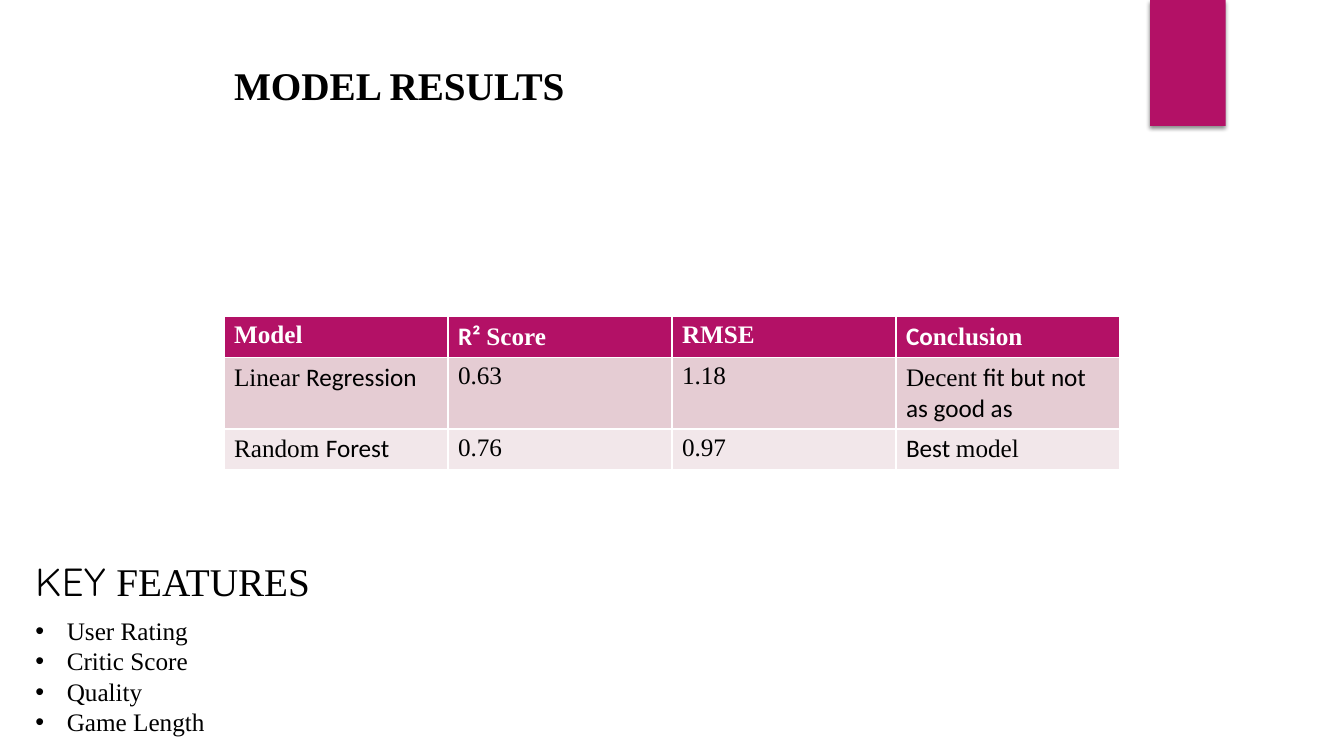
import pptx
import pptx.dml.color
import pptx.enum.shapes
import pptx.enum.text
import pptx.oxml
import pptx.oxml.ns
import pptx.util

Pt = pptx.util.Pt
RGBColor = pptx.dml.color.RGBColor

MAGENTA = RGBColor(0xB3, 0x11, 0x66)
ROSE = RGBColor(0xE5, 0xCC, 0xD3)
PALE_ROSE = RGBColor(0xF2, 0xE7, 0xEA)
WHITE = RGBColor(0xFF, 0xFF, 0xFF)
BLACK = RGBColor(0, 0, 0)

SERIF = "Times New Roman"
SANS = "Calibri"
DISPLAY = "Quicksand"

SHADOW = (
    f'<a:outerShdw {pptx.oxml.ns.nsdecls("a")} blurRad="{Pt(3)}" dist="{Pt(2)}" dir="5400000" '
    'rotWithShape="0"><a:srgbClr val="000000"><a:alpha val="45000"/></a:srgbClr></a:outerShdw>'
)


class ResultsPage:
    """Holds the text style and the current slide; lengths are in points."""

    heading_size = 28
    text_size = 18

    def __init__(self, deck):
        self.page = deck.slides.add_slide(deck.slide_layouts[1])

    def place(self, box, left, top, width, height):
        box.left, box.top, box.width, box.height = map(Pt, (left, top, width, height))
        frame = box.text_frame
        frame.word_wrap = True
        frame.auto_size = pptx.enum.text.MSO_AUTO_SIZE.NONE
        frame.vertical_anchor = pptx.enum.text.MSO_ANCHOR.TOP
        return frame

    def add_spans(self, para, spans, size, color=BLACK, bold=False):
        """Fill a paragraph with (text, font) spans."""
        para.alignment = pptx.enum.text.PP_ALIGN.LEFT
        for text, font in spans:
            span = para.add_run()
            span.text = text
            span.font.name = font
            span.font.size = Pt(size)
            span.font.bold = bold
            span.font.color.rgb = color

    def block(self, left, top, width, height):
        shape = self.page.shapes.add_shape(
            pptx.enum.shapes.MSO_SHAPE.RECTANGLE, *map(Pt, (left, top, width, height)))
        shape.fill.solid()
        shape.fill.fore_color.rgb = MAGENTA
        shape.line.fill.background()
        shape.shadow.inherit = False
        effects = shape.element.spPr.find(pptx.oxml.ns.qn("a:effectLst"))
        effects.append(pptx.oxml.parse_xml(SHADOW))

    def title(self, spans, *place):
        frame = self.place(self.page.shapes.title, *place)
        self.add_spans(frame.paragraphs[0], spans, self.heading_size, bold=True)

    def heading(self, spans, *place):
        frame = self.place(self.page.shapes.add_textbox(0, 0, 0, 0), *place)
        self.add_spans(frame.paragraphs[0], spans, self.heading_size)

    def bullets(self, items, *place):
        frame = self.place(self.page.placeholders[1], *place)
        frame.text = "\n".join(items)
        for para in frame.paragraphs:
            para.space_before = Pt(0)
            para.line_spacing = Pt(21.8)
            indent = Pt(22.5)
            properties = para._p.get_or_add_pPr()
            properties.set("marL", str(indent))
            properties.set("indent", str(-indent))
            font = para.runs[0].font
            font.name, font.size = SERIF, Pt(self.text_size)
            font.color.rgb = BLACK

    def table(self, rows, fills, heights, left, top, width):
        table = self.page.shapes.add_table(
            len(rows), len(rows[0]), *map(Pt, (left, top, width, sum(heights)))).table
        for index, (row, fill, height) in enumerate(zip(rows, fills, heights)):
            table.rows[index].height = Pt(height)
            header = index == 0
            for cell, spans in zip(table.rows[index].cells, row):
                cell.fill.solid()
                cell.fill.fore_color.rgb = fill
                self.add_spans(cell.text_frame.paragraphs[0], spans, self.text_size,
                               WHITE if header else BLACK, header)


RESULTS = [
    [[("Model", SERIF)], [("R² ", SANS), ("Score", SERIF)],
     [("RMSE", SERIF)], [("Co", SANS), ("nclusion", SERIF)]],
    [[("Linear ", SERIF), ("Regression", SANS)], [("0.63", SERIF)],
     [("1.18", SERIF)], [("Decent", SERIF), (" fit but not as good as", SANS)]],
    [[("Random ", SERIF), ("Forest", SANS)], [("0.76", SERIF)],
     [("0.97", SERIF)], [("Best ", SANS), ("model", SERIF)]],
]


def main():
    deck = pptx.Presentation()
    deck.slide_width, deck.slide_height = Pt(960), Pt(540)
    results = ResultsPage(deck)

    # Corner block and title
    results.block(821.5, 0, 54, 90)
    results.title([("MODEL RESULTS", SERIF)], 160, 40, 569.5, 41)

    # Model comparison
    results.table(RESULTS, [MAGENTA, ROSE, PALE_ROSE], [29.2, 50.4, 29.2], 160, 226, 640)

    # Key features
    results.bullets(["User Rating", "Critic Score", "Quality", "Game Length"],
                    18, 435.6, 471.6, 94.3)
    results.heading([("KEY ", DISPLAY), ("FEATURES", SERIF)], 18, 394.5, 569.5, 41)

    deck.save("out.pptx")


if __name__ == "__main__":
    main()
